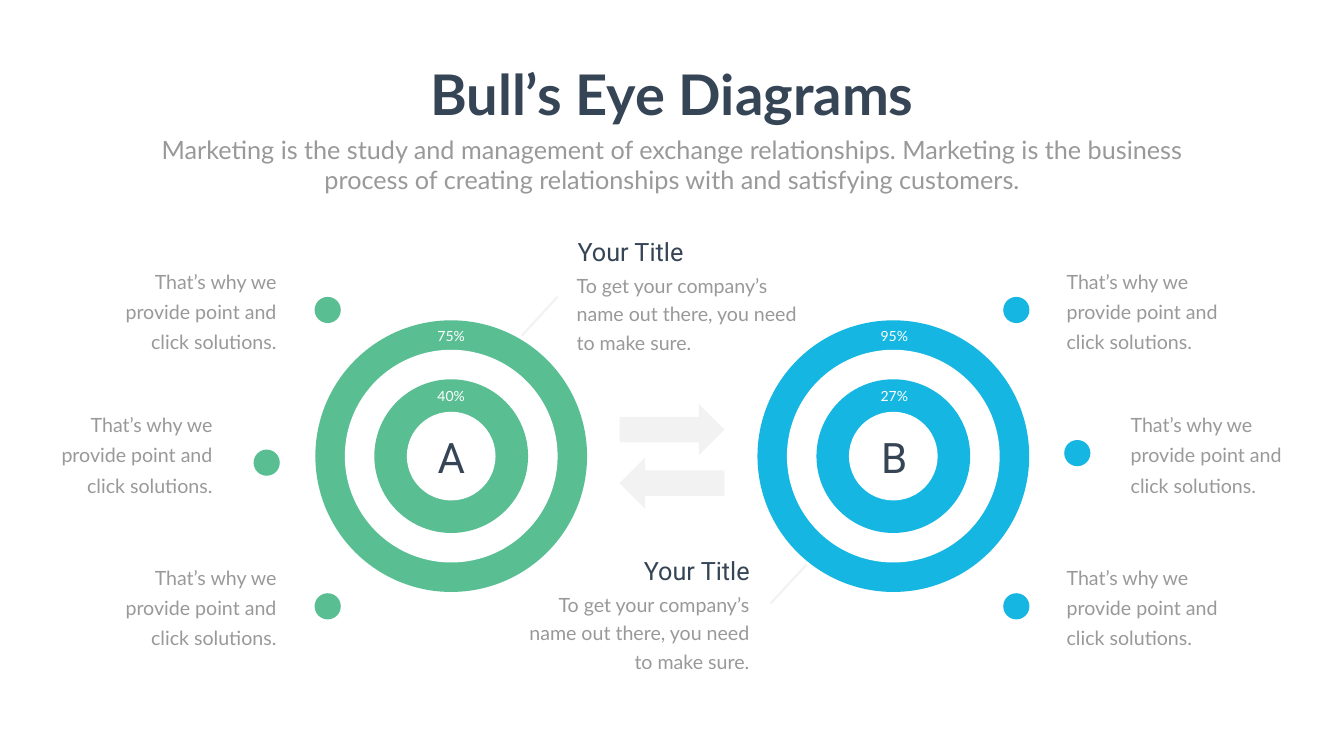
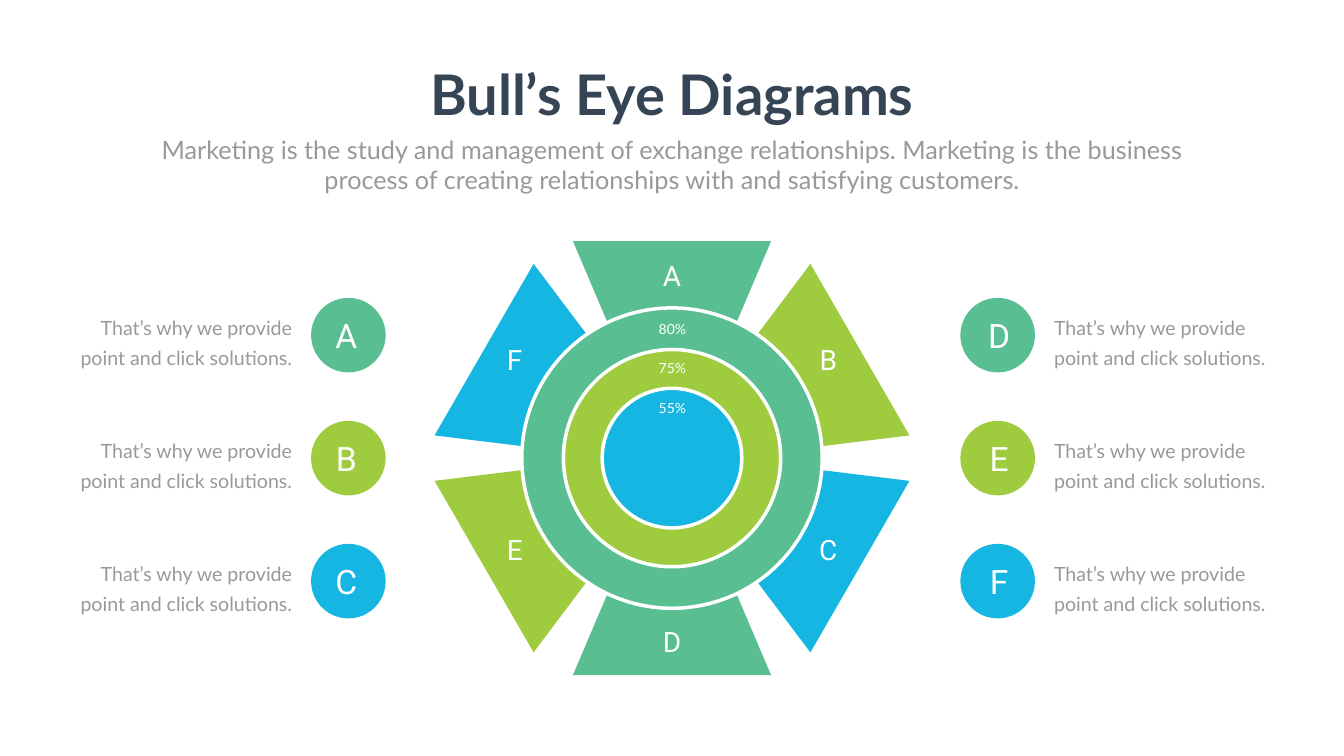
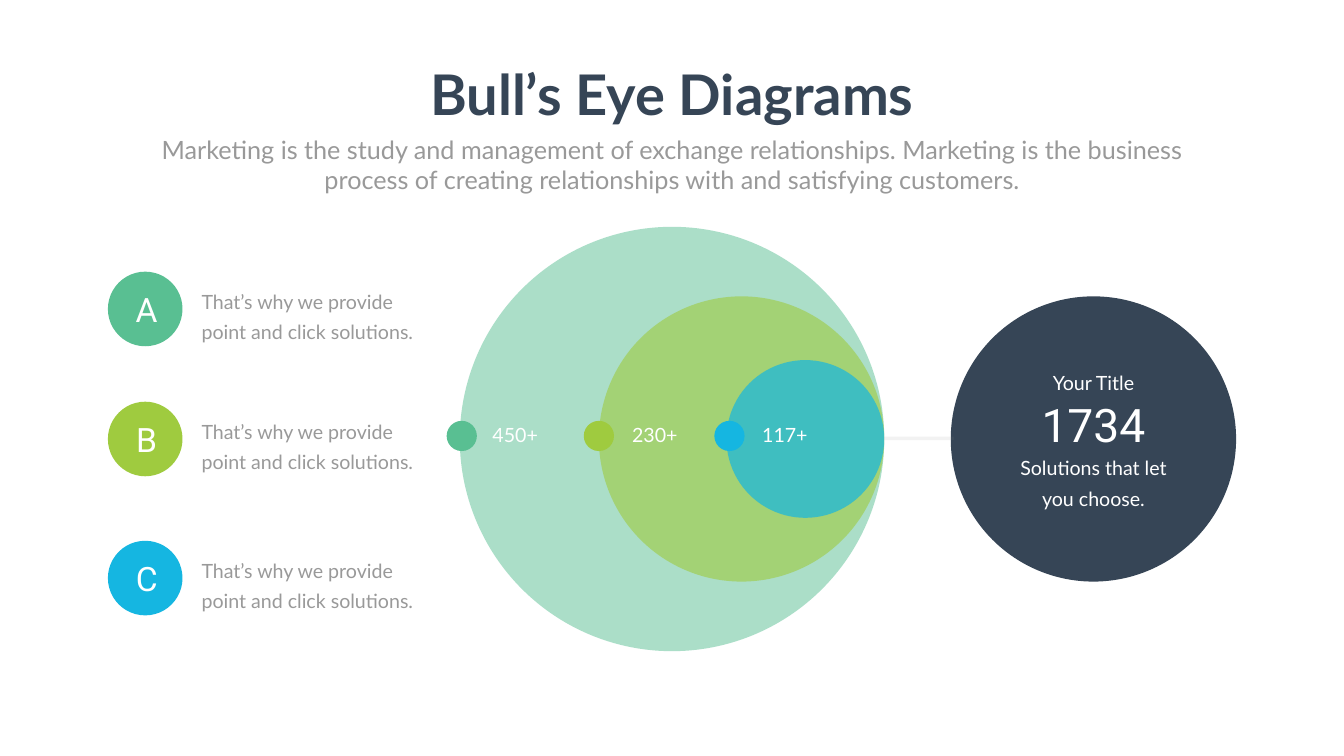
from dataclasses import dataclass
from math import cos, radians, sin
from typing import NamedTuple

from lxml.etree import SubElement
from pptx import Presentation
from pptx.dml.color import RGBColor
from pptx.enum.shapes import MSO_CONNECTOR, MSO_SHAPE as Preset
from pptx.enum.text import MSO_AUTO_SIZE, PP_ALIGN as Align
from pptx.oxml.ns import qn
from pptx.util import Inches, Pt

# The page is a square grid; every length below counts its cells.
COLUMNS, ROWS = 26.66, 15
CELL = Inches(15) / ROWS
MIDDLE = COLUMNS / 2

COLOURS = {
    "green": "59BF92", "lime": "9FCB3F", "blue": "15B6E1", "navy": "364556",
    "text": "999999", "grey": "808080", "white": "FFFFFF",
}
SERIES = ("green", "lime", "blue")
BLURB = "That’s why we provide point and click solutions."
CAPTION = "To get your company’s name out there, you need to make sure."
SUBTITLE = ("Marketing is the study and management of exchange relationships. "
            "Marketing is the business process of creating relationships with "
            "and satisfying customers.")


class Frame(NamedTuple):
    left: float
    top: float
    width: float
    height: float

    def lengths(self) -> list[int]:
        return [cells(value) for value in self]


class Style(NamedTuple):
    size: int
    colour: str
    font: str = "Lato"
    bold: bool = False
    leading: float | None = None


TITLE_STYLE = Style(80, "navy", bold=True)
SUBTITLE_STYLE = Style(36, "text")
BLURB_STYLE = Style(28, "text", leading=43)
CAPTION_STYLE = Style(28, "text", leading=40.8)
HEADING_STYLE = Style(36, "navy", "Roboto")
TARGET_STYLE = Style(60, "navy", "Roboto")
SEGMENT_STYLE = Style(40, "white", "Roboto")
BADGE_STYLE = Style(48, "white", "Roboto")
PERCENT_STYLE = Style(20, "white")
COUNT_STYLE = Style(28, "white")
SUMMARY_STYLE = Style(28, "white", leading=43)
TOTAL_STYLE = Style(66, "white", "Roboto")


@dataclass
class Target:
    letter: str
    colour: str
    x: float
    label_x: float
    percents: tuple[str, str]
    dots: tuple[tuple[float, float], ...]
    blurb_lefts: tuple[float, float, float]
    align: Align


@dataclass
class Callout:
    heading: Frame
    caption: Frame
    align: Align
    line_start: tuple[float, float]
    line_end: tuple[float, float]


@dataclass
class Segment:
    letter: str
    x: float
    y: float


@dataclass
class Badge:
    letter: str
    colour: str
    x: float
    y: float
    text_on_left: bool = False


@dataclass
class Level:
    colour: str
    diameter: float
    opacity: int
    dot_x: float
    count: str
    count_left: float


TARGETS = (
    Target("A", "green", 8.95, 8.95, ("75%", "40%"),
           ((6.5, 6.15), (5.29, 9.18), (6.5, 12.03)), (2.09, 0.82, 2.09), Align.RIGHT),
    Target("B", "blue", 17.72, 17.74, ("95%", "27%"),
           ((20.16, 6.15), (21.37, 8.99), (20.16, 12.03)), (21.06, 22.33, 21.06), Align.LEFT),
)
CALLOUTS = (
    Callout(Frame(11.36, 4.63, 5.94, 0.71), Frame(11.34, 5.28, 4.59, 1.77),
            Align.LEFT, (10.35, 6.66), (11.06, 5.89)),
    Callout(Frame(9.03, 10.96, 5.94, 0.71), Frame(10.37, 11.61, 4.59, 1.77),
            Align.RIGHT, (15.29, 11.97), (16, 11.2)),
)
SEGMENTS = (
    Segment("A", 13.33, 5.46), Segment("B", 16.43, 7.13), Segment("C", 16.43, 10.91),
    Segment("D", 13.33, 12.72), Segment("E", 10.21, 10.91), Segment("F", 10.21, 7.13),
)
LEVELS = (
    Level("green", 8.42, 50, 9.16, "450+", 9.67),
    Level("lime", 5.66, 60, 11.88, "230+", 12.44),
    Level("blue", 3.13, 70, 14.47, "117+", 15.02),
)


def cells(value: float) -> int:
    return round(value * CELL)


def rgb(name: str) -> RGBColor:
    return RGBColor.from_string(COLOURS[name])


def centred(x: float, y: float, width: float, height: float) -> Frame:
    return Frame(x - width / 2, y - height / 2, width, height)


def set_opacity(element, percent: int) -> None:
    colour = next(element.iter(qn("a:srgbClr")))
    SubElement(colour, qn("a:alpha")).set("val", str(percent * 1000))


def add_preset(page, preset: Preset, frame: Frame, colour: str,
               opacity: int = 100, rotation: float = 0):
    shape = page.shapes.add_shape(preset, *frame.lengths())
    shape.shadow.inherit = False
    shape.rotation = rotation
    shape.fill.solid()
    shape.fill.fore_color.rgb = rgb(colour)
    shape.line.fill.background()
    if opacity < 100:
        set_opacity(shape.element.spPr, opacity)
    return shape


def add_circle(page, x: float, y: float, diameter: float, colour: str, opacity: int = 100):
    return add_preset(page, Preset.OVAL, centred(x, y, diameter, diameter), colour, opacity)


def add_text(page, frame: Frame, text: str, style: Style,
             align: Align = Align.CENTER, wrap: bool = True) -> None:
    box = page.shapes.add_textbox(*frame.lengths())
    box.text_frame.word_wrap = wrap
    box.text_frame.auto_size = MSO_AUTO_SIZE.SHAPE_TO_FIT_TEXT
    para = box.text_frame.paragraphs[0]
    para.text = text
    para.alignment = align
    if style.leading:
        para.line_spacing = Pt(style.leading)
    para.font.size = Pt(style.size)
    para.font.name = style.font
    para.font.bold = style.bold
    para.font.color.rgb = rgb(style.colour)


def add_faint_line(page, start: tuple[float, float], end: tuple[float, float],
                   width: float) -> None:
    points = [cells(value) for value in (*start, *end)]
    line = page.shapes.add_connector(MSO_CONNECTOR.STRAIGHT, *points)
    line.line.color.rgb = rgb("grey")
    line.line.width = Pt(width)
    properties = line.element.spPr
    set_opacity(properties, 10)
    SubElement(properties, qn("a:effectLst"))


def add_page(deck):
    """Add a blank slide with the shared title and subtitle."""
    page = deck.slides.add_slide(deck.slide_layouts[6])
    add_text(page, centred(MIDDLE, 1.85, 9.98, 1.45), "Bull’s Eye Diagrams",
             TITLE_STYLE, wrap=False)
    add_text(page, centred(MIDDLE, 3.27, 20.82, 1.31), SUBTITLE, SUBTITLE_STYLE)
    return page


def draw_target(page, target: Target) -> None:
    centre_y = 9.05
    rings = zip((5.39, 4.22, 3.05, 1.76), (target.colour, "white") * 2)
    for diameter, colour in rings:
        add_circle(page, target.x, centre_y, diameter, colour)
    add_text(page, centred(target.label_x, 9.06, 0.89, 1.11), target.letter, TARGET_STYLE)
    for percent, y in zip(target.percents, (6.66, 7.85)):
        add_text(page, centred(target.label_x, y, 0.85, 0.44), percent, PERCENT_STYLE)
    for dot, left, top in zip(target.dots, target.blurb_lefts, (5.17, 8.02, 11.05)):
        add_circle(page, *dot, 0.52, target.colour)
        add_text(page, Frame(left, top, 3.49, 1.84), BLURB, BLURB_STYLE, target.align)


def draw_callout(page, callout: Callout) -> None:
    add_faint_line(page, callout.line_start, callout.line_end, 3)
    add_text(page, callout.caption, CAPTION, CAPTION_STYLE, callout.align)
    add_text(page, callout.heading, "Your Title", HEADING_STYLE, callout.align)


def draw_badge(page, badge: Badge) -> None:
    """Draw a lettered circle with its blurb beside it."""
    if badge.text_on_left:
        letter_shift, blurb_shift, align = -0.04, -5.61, Align.RIGHT
    else:
        letter_shift, blurb_shift, align = 0.03, 1.02, Align.LEFT
    add_circle(page, badge.x, badge.y, 1.48, badge.colour)
    add_text(page, centred(badge.x + letter_shift, badge.y, 0.89, 0.91),
             badge.letter, BADGE_STYLE)
    add_text(page, Frame(badge.x + blurb_shift, badge.y - 0.56, 4.59, 1.12),
             BLURB, BLURB_STYLE, align)


def draw_segments(page, centre_y: float) -> None:
    radius = 3.39
    for index, segment in enumerate(SEGMENTS):
        turn = 60 * index
        x = MIDDLE + radius * sin(radians(turn))
        y = centre_y - radius * cos(radians(turn))
        shape = add_preset(page, Preset.TRAPEZOID, centred(x, y, 3.93, 1.83),
                           SERIES[index % 3], rotation=(180 + turn) % 360)
        shape.adjustments[0] = 0.425
        add_text(page, centred(segment.x, segment.y, 0.89, 0.77),
                 segment.letter, SEGMENT_STYLE)


def build_two_targets(deck) -> None:
    page = add_page(deck)
    for target in TARGETS:
        draw_target(page, target)
    for top, rotation in ((8.02, 0), (9.08, 180)):
        add_preset(page, Preset.RIGHT_ARROW, Frame(12.29, top, 2.08, 1.01),
                   "grey", 10, rotation)
    for callout in CALLOUTS:
        draw_callout(page, callout)


def build_segmented_target(deck) -> None:
    page = add_page(deck)
    centre_y, badge_step = 9.09, 2.44
    draw_segments(page, centre_y)
    rings = zip(SERIES, (5.96, 4.31, 2.77), ("80%", "75%", "55%"), (6.53, 7.31, 8.1))
    for colour, diameter, percent, label_y in rings:
        ring = add_circle(page, MIDDLE, centre_y, diameter, colour)
        ring.line.color.rgb = rgb("white")
        ring.line.width = Pt(5)
        add_text(page, centred(MIDDLE + 0.01, label_y, 0.85, 0.44), percent, PERCENT_STYLE)
    for x, letters, text_on_left in ((6.91, "ABC", True), (19.79, "DEF", False)):
        for row, (letter, colour) in enumerate(zip(letters, SERIES)):
            y = centre_y + (row - 1) * badge_step
            draw_badge(page, Badge(letter, colour, x, y, text_on_left))


def build_nested_circles(deck) -> None:
    page = add_page(deck)
    centre_y, right_edge, summary_x = 8.71, 17.54, 21.69
    for level in LEVELS:
        add_circle(page, right_edge - level.diameter / 2, centre_y,
                   level.diameter, level.colour, level.opacity)
    for level in LEVELS:
        add_circle(page, level.dot_x, 8.65, 0.6, level.colour)
        add_text(page, Frame(level.count_left, 8.35, 1.4, 0.57),
                 level.count, COUNT_STYLE, Align.LEFT)
    for letter, colour, y in zip("ABC", SERIES, (6.13, 8.71, 11.47)):
        draw_badge(page, Badge(letter, colour, 2.88, y))
    add_circle(page, summary_x, centre_y, 5.66, "navy")
    add_text(page, centred(summary_x, 7.5, 3.37, 0.65), "Your Title", SUMMARY_STYLE)
    add_text(page, centred(summary_x, 8.42, 4.41, 1.21), "1734", TOTAL_STYLE)
    add_text(page, centred(summary_x, 9.5, 3.37, 1.25),
             "Solutions that let you choose.", SUMMARY_STYLE)
    add_faint_line(page, (right_edge, 8.7), (18.92, 8.7), 5)


def main() -> None:
    deck = Presentation()
    deck.slide_width, deck.slide_height = cells(COLUMNS), cells(ROWS)
    build_two_targets(deck)
    build_segmented_target(deck)
    build_nested_circles(deck)
    deck.save("out.pptx")


if __name__ == "__main__":
    main()
